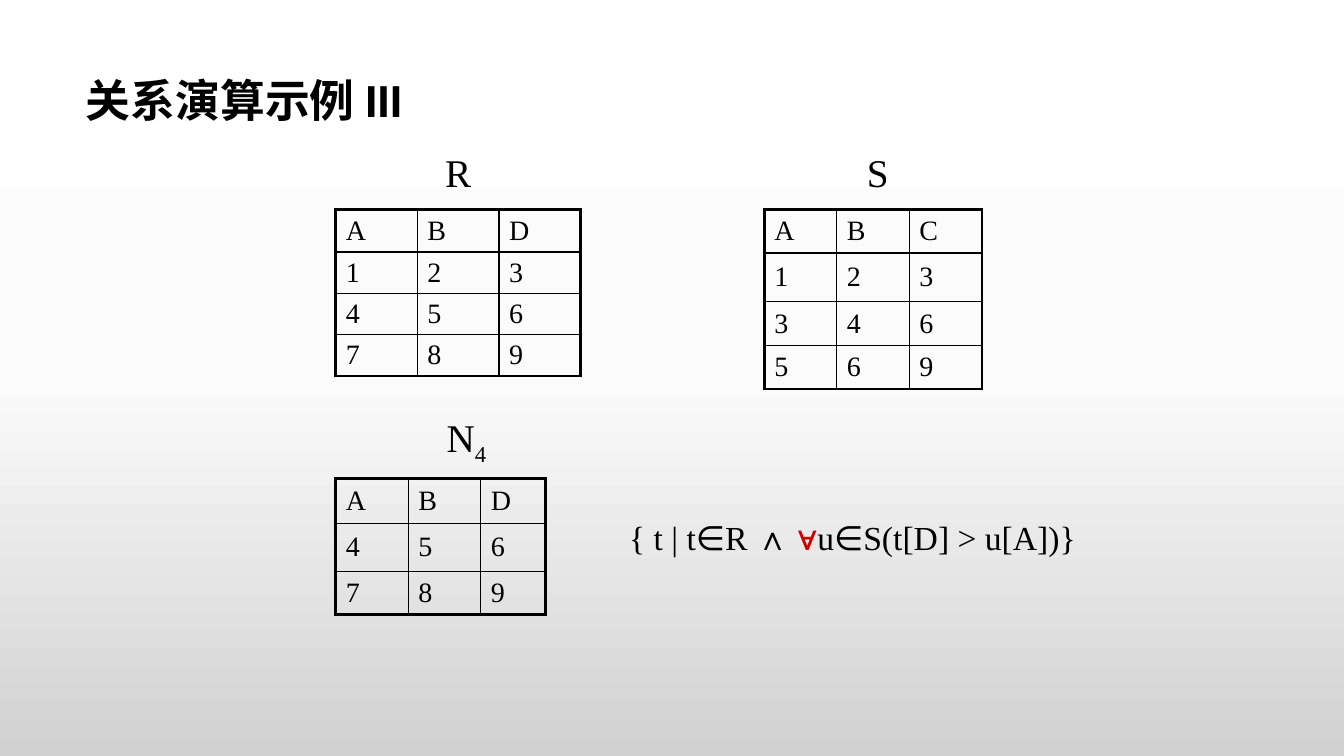
from copy import deepcopy
from dataclasses import dataclass

from pptx import Presentation
from pptx.dml.color import RGBColor
from pptx.enum.text import MSO_ANCHOR as Anchor, MSO_AUTO_SIZE as AutoSize, PP_ALIGN as Align
from pptx.oxml.ns import qn
from pptx.oxml.xmlchemy import OxmlElement
from pptx.slide import Slide
from pptx.util import Emu, Pt

PX = 9144  # 100 px to the inch


@dataclass(frozen=True)
class Theme:
    ink: str = "000000"
    accent: str = "CC0000"
    backdrop: tuple[tuple[float, str], ...] = ((0, "FFFFFF"), (0.5, "FBFBFB"), (1, "D1D1D1"))
    serif: str = "Times New Roman"
    heading: str = "Arial"
    element_sign: str = "Lato"
    logic_sign: str = "Arial Narrow"
    title_pt: int = 32
    name_pt: int = 28
    formula_pt: int = 24
    cell_pt: int = 20
    frame_pt: float = 2.25
    rule_pt: float = 1


THEME = Theme()


@dataclass(frozen=True)
class Box:
    left: int
    top: int
    width: int
    height: int

    def emu(self) -> tuple[Emu, ...]:
        return tuple(Emu(n * PX) for n in (self.left, self.top, self.width, self.height))


@dataclass(frozen=True)
class Piece:
    text: str
    font: str = THEME.serif
    color: str = THEME.ink
    baseline: int = 0  # percent


@dataclass(frozen=True)
class Label:
    box: Box
    size: int
    pieces: tuple[Piece, ...]
    anchor: Anchor = Anchor.MIDDLE


@dataclass(frozen=True)
class Relation:
    left: int
    top: int
    columns: tuple[int, ...]
    rows: tuple[int, ...]
    tuples: tuple[str, ...]  # one character per cell


RELATIONS = (
    Relation(333, 208, (81, 81, 81), (42, 41, 41, 41), ("ABD", "123", "456", "789")),
    Relation(758, 208, (72, 72, 72), (43, 48, 44, 43), ("ABC", "123", "346", "569")),
    Relation(333, 475, (72, 72, 64), (44, 48, 43), ("ABD", "456", "789")),
)

MEMBER = Piece("∈", THEME.element_sign)
LABELS = (
    Label(Box(417, 142, 75, 57), THEME.name_pt, (Piece("R"),)),
    Label(Box(833, 142, 75, 57), THEME.name_pt, (Piece("S"),)),
    Label(Box(425, 408, 75, 57), THEME.name_pt, (Piece("N"), Piece("4", baseline=-25))),
    Label(Box(583, 508, 525, 111), THEME.formula_pt, (
        Piece("{ t | t"), MEMBER, Piece("R "),
        Piece("∧ ", THEME.logic_sign), Piece("∀", THEME.logic_sign, THEME.accent),
        Piece("u"), MEMBER, Piece("S(t[D] > u[A])}"),
    ), Anchor.TOP),
)


def paint_backdrop(slide: Slide) -> None:
    fill = slide.background.fill
    fill.gradient()
    fill.gradient_angle = 270
    stop_list = next(slide.element.iter(qn("a:gsLst")))
    stop_list.append(deepcopy(stop_list[-1]))
    for stop, (position, color) in zip(fill.gradient_stops, THEME.backdrop):
        stop.position = position
        stop.color.rgb = RGBColor.from_string(color)


def set_title(slide: Slide, text: str, box: Box) -> None:
    title = slide.shapes.title
    title.left, title.top, title.width, title.height = box.emu()
    frame = title.text_frame
    frame.text = text
    frame.vertical_anchor = Anchor.MIDDLE
    paragraph = frame.paragraphs[0]
    paragraph.alignment = Align.LEFT
    paragraph.line_spacing = 0.9
    font = paragraph.font
    font.name, font.size, font.bold = THEME.heading, Pt(THEME.title_pt), True
    font.color.rgb = RGBColor.from_string(THEME.ink)


def add_label(slide: Slide, label: Label) -> None:
    frame = slide.shapes.add_textbox(*label.box.emu()).text_frame
    frame.word_wrap = True
    frame.auto_size = AutoSize.NONE
    frame.vertical_anchor = label.anchor
    paragraph = frame.paragraphs[0]
    paragraph.alignment = Align.CENTER
    paragraph.font.size = Pt(label.size)
    for piece in label.pieces:
        run = paragraph.add_run()
        run.text = piece.text
        run.font.name = piece.font
        run.font.color.rgb = RGBColor.from_string(piece.color)
        if piece.baseline:
            run.font._element.set("baseline", str(piece.baseline * 1000))


def set_borders(cell, framed: dict[str, bool]) -> None:
    """Draw heavy lines on the framed sides and thin ones elsewhere."""
    properties = cell._tc.get_or_add_tcPr()
    for index, (side, heavy) in enumerate(framed.items()):
        line = OxmlElement(f"a:ln{side}")
        line.set("w", str(Pt(THEME.frame_pt if heavy else THEME.rule_pt)))
        solid = OxmlElement("a:solidFill")
        color = OxmlElement("a:srgbClr")
        color.set("val", THEME.ink)
        solid.append(color)
        line.append(solid)
        properties.insert(index, line)


def add_relation(slide: Slide, relation: Relation) -> None:
    row_count, column_count = len(relation.rows), len(relation.columns)
    box = Box(relation.left, relation.top, sum(relation.columns), sum(relation.rows))
    table = slide.shapes.add_table(row_count, column_count, *box.emu()).table
    table.first_row = table.horz_banding = False
    for column, width in zip(table.columns, relation.columns):
        column.width = Emu(width * PX)
    for row, height in zip(table.rows, relation.rows):
        row.height = Emu(height * PX)
    for r, values in enumerate(relation.tuples):
        for c, value in enumerate(values):
            cell = table.cell(r, c)
            cell.text = value
            cell.vertical_anchor = Anchor.MIDDLE
            cell.fill.background()
            font = cell.text_frame.paragraphs[0].font
            font.name, font.size = THEME.serif, Pt(THEME.cell_pt)
            font.color.rgb = RGBColor.from_string(THEME.ink)
            set_borders(cell, {"L": c == 0, "R": c == column_count - 1,
                               "T": r == 0, "B": r == row_count - 1})


def main() -> None:
    deck = Presentation()
    deck.slide_width, deck.slide_height = Emu(1333 * PX), Emu(750 * PX)
    slide = deck.slides.add_slide(deck.slide_layouts[5])  # title only
    paint_backdrop(slide)
    set_title(slide, "关系演算示例 III", Box(75, 48, 850, 108))
    for relation in RELATIONS:
        add_relation(slide, relation)
    for label in LABELS:
        add_label(slide, label)
    deck.save("out.pptx")


if __name__ == "__main__":
    main()
